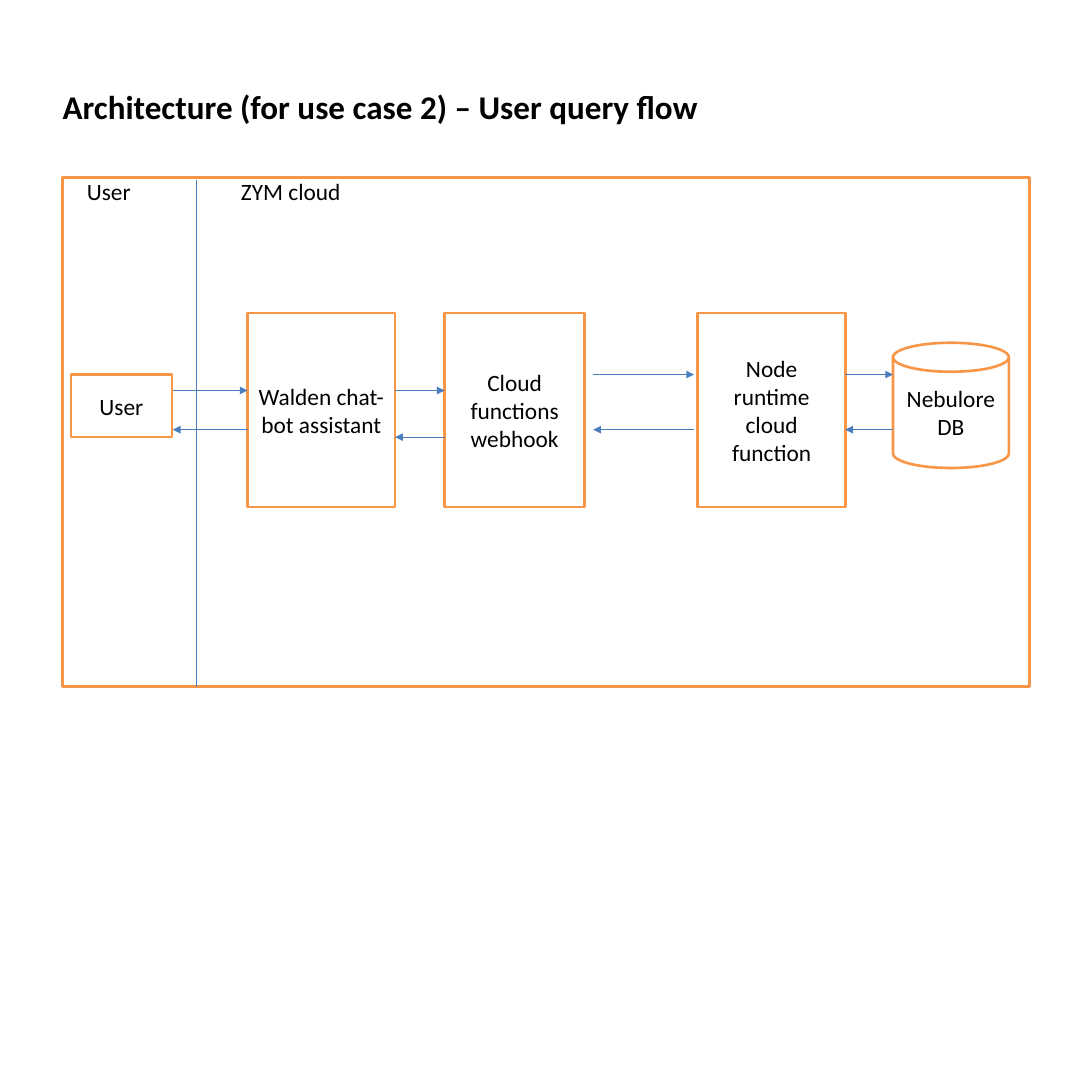
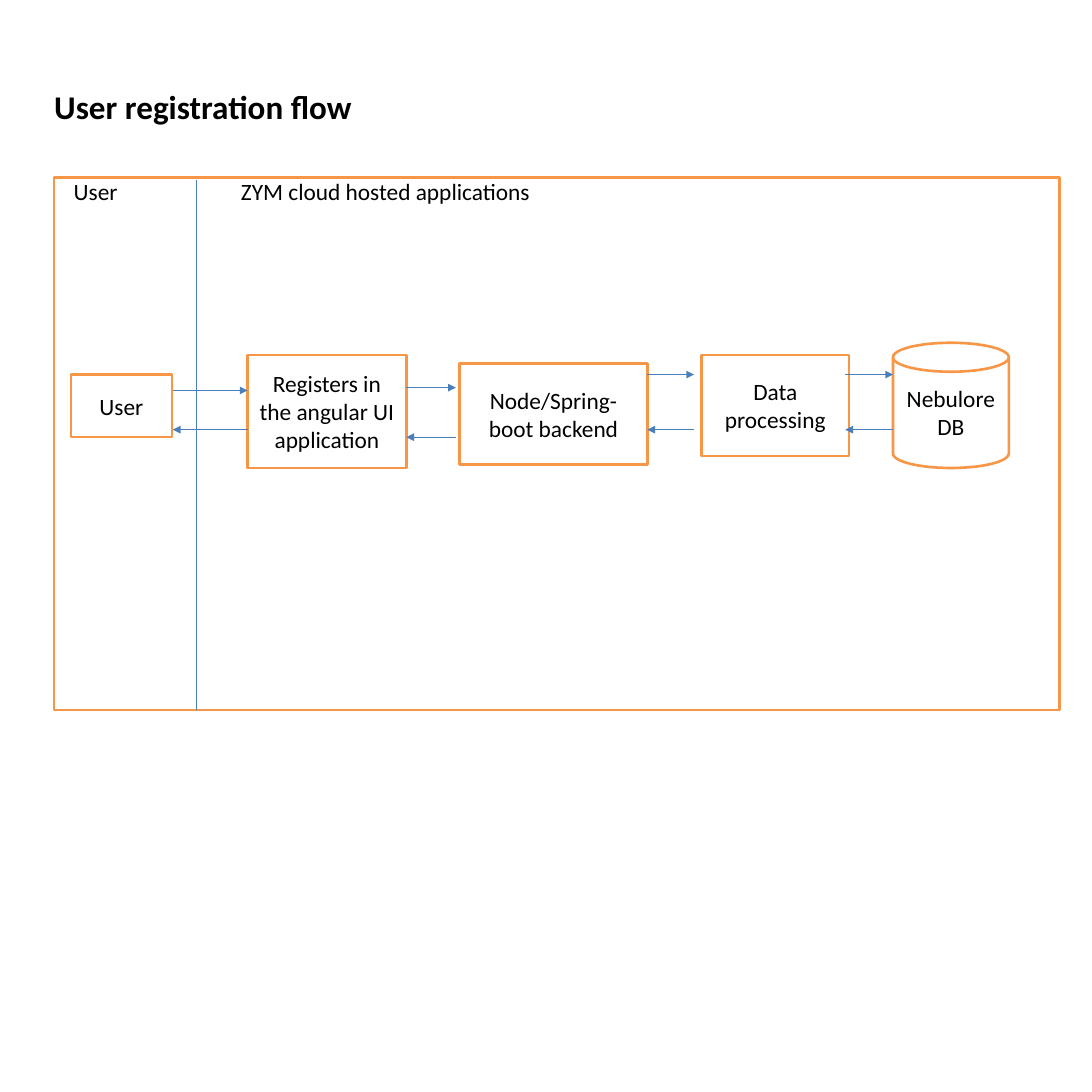
from lxml import etree
from pptx import Presentation
from pptx.dml.color import RGBColor
from pptx.enum.shapes import MSO_CONNECTOR, MSO_SHAPE
from pptx.enum.text import MSO_ANCHOR, MSO_AUTO_SIZE, PP_ALIGN
from pptx.oxml.ns import qn
from pptx.util import Inches, Pt

BLACK = RGBColor(0x00, 0x00, 0x00)
WHITE = RGBColor(0xFF, 0xFF, 0xFF)
ORANGE = RGBColor(0xF7, 0x96, 0x46)
BLUE = RGBColor(0x4B, 0x7E, 0xBC)
FONT = "Calibri"
RECT, CAN = MSO_SHAPE.RECTANGLE, MSO_SHAPE.CAN
STRAIGHT = MSO_CONNECTOR.STRAIGHT
LEFT, CENTER = PP_ALIGN.LEFT, PP_ALIGN.CENTER
TOP, MIDDLE = MSO_ANCHOR.TOP, MSO_ANCHOR.MIDDLE
NO_FIT = MSO_AUTO_SIZE.NONE

SIDE = 11.69
FRAME_TOP = 1.9
SPLIT = 2.1  # edge between the user lane and the cloud lane
CLOUD = 2.58  # where the cloud heading starts
LANE = (0.76, 3.35)  # corner that steps and links are measured from

# Steps: text, left, top, width, height
USER = ("User", 0, 0.66, 1.08, 0.67)
STORE = ("Nebulore DB", 8.8, 0.32, 1.24, 1.34)
# Links: left, right, height of the way out, height of the way back
FIRST = (1.09, 1.89, 0.83, 1.25)
LAST = (8.29, 8.8, 0.66, 1.25)

FLOWS = [
    dict(
        title="Architecture (for use case 2) – User query flow",
        frame=(0.67, FRAME_TOP, 10.35, 5.45),
        inset=0.26,
        cloud="ZYM cloud",
        steps=[
            ("Walden chat-bot assistant", 1.89, 0, 1.58, 2.08),
            ("Cloud functions webhook", 4, 0, 1.5, 2.08),
            ("Node runtime cloud function", 6.71, 0, 1.58, 2.08),
        ],
        links=[(3.47, 4, 0.83, 1.33), (5.59, 6.67, 0.66, 1.25)],
    ),
    dict(
        title="User registration flow",
        frame=(0.58, FRAME_TOP, 10.76, 5.7),
        inset=0.21,
        cloud="ZYM cloud hosted applications",
        steps=[
            ("Registers in the angular UI application", 1.89, 0.45, 1.7, 1.21),
            ("Node/Spring-boot backend", 4.16, 0.54, 2.01, 1.08),
            ("Data processing", 6.75, 0.45, 1.58, 1.08),
        ],
        links=[(3.59, 4.12, 0.8, 1.33), (6.17, 6.67, 0.66, 1.25)],
    ),
]


def style(par, size, align, bold=False):
    par.alignment = align
    for run in par.runs:
        font = run.font
        font.name, font.size, font.bold = FONT, Pt(size), bold
        font.color.rgb = BLACK


def inset(frame, left=0):
    frame.margin_left = Inches(left)
    frame.margin_top = frame.margin_right = frame.margin_bottom = 0
    frame.vertical_anchor = TOP


def add_title(slide, text, left):
    title = slide.shapes.title
    title.left, title.top = Inches(left), Inches(0.93)
    title.width, title.height = Inches(9), Inches(0.43)
    frame = title.text_frame
    frame.text = text
    frame.word_wrap, frame.auto_size = True, NO_FIT
    inset(frame)
    style(frame.paragraphs[0], 25.5, LEFT, True)


def add_box(slide, kind, box):
    """Draw a white shape with an orange outline."""
    shape = slide.shapes.add_shape(kind, *map(Inches, box))
    shape.shadow.inherit = False
    shape.fill.solid()
    shape.fill.fore_color.rgb = WHITE
    shape.line.color.rgb = ORANGE
    shape.line.width = Pt(2)
    shape.text_frame.word_wrap = True
    return shape


def add_line(slide, start, end, arrow=True):
    line = slide.shapes.add_connector(STRAIGHT, *map(Inches, start + end))
    line.line.color.rgb = BLUE
    line.line.width = Pt(0.75)
    if arrow:
        etree.SubElement(line.line._get_or_add_ln(), qn("a:tailEnd"), type="triangle")
    etree.SubElement(line._element.spPr, qn("a:effectLst"))


def add_frame(slide, box, left, cloud):
    """Draw the outer frame with its two lane headings."""
    frame = add_box(slide, RECT, box).text_frame
    inset(frame, left)
    par = frame.paragraphs[0]
    par.text = f"User\t{cloud}"
    tabs = etree.SubElement(par._p.get_or_add_pPr(), qn("a:tabLst"))
    stop = Inches(CLOUD - box[0] - left)
    etree.SubElement(tabs, qn("a:tab"), pos=str(stop), algn="l")
    style(par, 18, LEFT)
    add_line(slide, (SPLIT, box[1] + 0.03), (SPLIT, box[1] + box[3]), False)


def add_step(slide, kind, text, left, top, width, height):
    box = (LANE[0] + left, LANE[1] + top, width, height)
    frame = add_box(slide, kind, box).text_frame
    frame.text = text
    frame.vertical_anchor = MIDDLE
    style(frame.paragraphs[0], 18, CENTER)


def add_link(slide, left, right, out, back):
    """Draw one arrow to the right and one back to the left."""
    x, y = LANE
    add_line(slide, (x + left, y + out), (x + right, y + out))
    add_line(slide, (x + right, y + back), (x + left, y + back))


def add_flow(deck, title, frame, inset, cloud, steps, links):
    slide = deck.slides.add_slide(deck.slide_layouts.get_by_name("Title Only"))
    add_title(slide, title, frame[0])
    add_frame(slide, frame, inset, cloud)
    for step in [USER, *steps]:
        add_step(slide, RECT, *step)
    add_step(slide, CAN, *STORE)
    for link in [FIRST, *links, LAST]:
        add_link(slide, *link)


def main():
    deck = Presentation()
    deck.slide_width = deck.slide_height = Inches(SIDE)
    for flow in FLOWS:
        add_flow(deck, **flow)
    deck.save("out.pptx")


if __name__ == "__main__":
    main()
